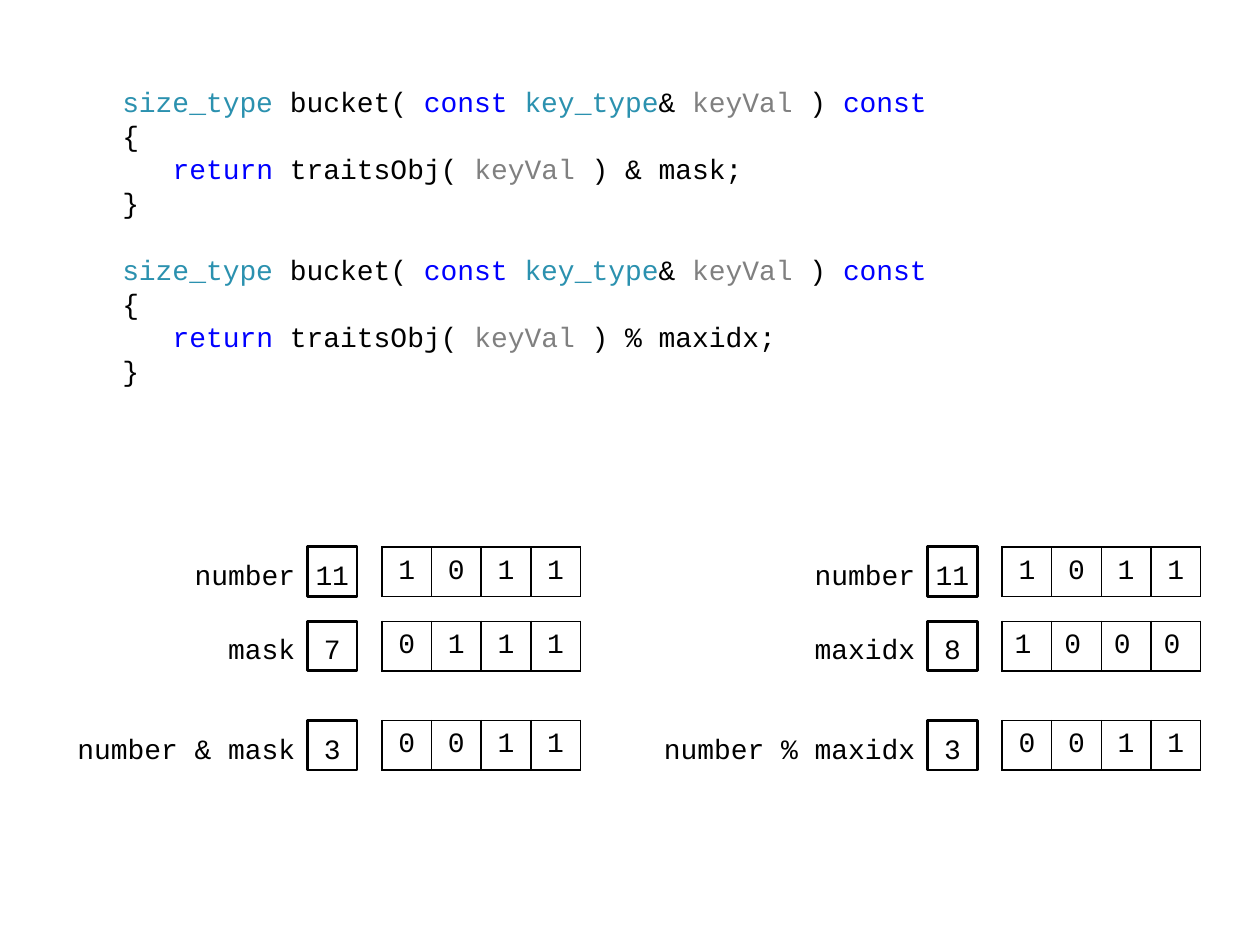
from dataclasses import dataclass

from lxml.etree import SubElement
from pptx import Presentation
from pptx.dml.color import RGBColor
from pptx.enum.shapes import MSO_SHAPE as Shape
from pptx.enum.text import MSO_ANCHOR as Anchor, PP_ALIGN as Align
from pptx.oxml.ns import qn
from pptx.util import Pt

FONT, SIZE = "Courier New", 16
CHAR = 9.6  # width of one character
LINE = 19.2  # height of one line of code
CELL = 28.35
TOP = 312.5
COLORS = {"text": "000000", "type": "2B91AF", "keyword": "0000FF",
          "param": "808080", "paper": "FFFFFF"}


@dataclass
class BitRow:
    label: str
    label_cells: int
    value: str
    bits: str
    step: float  # distance from the first row, in cells
    align: Align = Align.CENTER


@dataclass
class Panel:
    box_left: float
    rows: list[BitRow]


PANELS = [
    Panel(175.75, [BitRow("number", 3, "11", "1011", 0),
                   BitRow("mask", 2, "7", "0111", 1.5),
                   BitRow("number & mask", 5, "3", "0011", 3.5)]),
    Panel(530.1, [BitRow("number", 3, "11", "1011", 0),
                  BitRow("maxidx", 3, "8", "1000", 1.5, Align.LEFT),
                  BitRow("number % maxidx", 6, "3", "0011", 3.5)]),
]


def rgb(name: str) -> RGBColor:
    return RGBColor.from_string(COLORS[name])


def style(r, color: str = "text") -> None:
    r.font.name, r.font.size = FONT, Pt(SIZE)
    r.font.color.rgb = rgb(color)


def set_text(tf, text: str, align: Align) -> None:
    tf.text = text
    p = tf.paragraphs[0]
    p.alignment = align
    style(p.runs[0])


def set_frame(tf, side: float, top: float, anchor: Anchor) -> None:
    tf.word_wrap = True
    tf.vertical_anchor = anchor
    tf.margin_left = tf.margin_right = Pt(side)
    tf.margin_top, tf.margin_bottom = Pt(top), Pt(3.6)


def function_lines(expression: str) -> list[tuple[int, list[tuple[str, str]]]]:
    """Lines of one function: indent in characters and coloured tokens."""
    return [
        (3, [("size_type", "type"), (" bucket( ", "text"), ("const ", "keyword"),
             ("key_type", "type"), ("& ", "text"), ("keyVal", "param"),
             (" ) ", "text"), ("const", "keyword")]),
        (3, [("{", "text")]),
        (6, [("return ", "keyword"), ("traitsObj( ", "text"),
             ("keyVal", "param"), (f" ) {expression};", "text")]),
        (3, [("}", "text")]),
    ]


def add_code(s, expressions: list[str]) -> None:
    tf = s.shapes.add_textbox(Pt(34), Pt(43.2), Pt(652), Pt(184.3)).text_frame
    set_frame(tf, 7.2, 5.2, Anchor.TOP)
    p = tf.paragraphs[0]
    for i, expression in enumerate(expressions):
        for j, (indent, tokens) in enumerate(function_lines(expression)):
            if i or j:
                p = tf.add_paragraph()
            p.line_spacing = Pt(LINE)
            if i and not j:
                p.space_before = Pt(LINE)
            pPr = p._p.get_or_add_pPr()
            pPr.set("marL", str(Pt(indent * CHAR)))
            pPr.set("indent", "0")
            for text, color in tokens:
                r = p.add_run()
                r.text = text
                style(r, color)


def add_label(s, row: BitRow, right: float, top: float) -> None:
    width = row.label_cells * CELL
    tf = s.shapes.add_textbox(Pt(right - width), Pt(top), Pt(width), Pt(CELL)).text_frame
    set_frame(tf, 7.2, 6.6, Anchor.MIDDLE)
    set_text(tf, row.label, Align.RIGHT)


def add_value(s, value: str, left: float, top: float) -> None:
    sp = s.shapes.add_shape(Shape.RECTANGLE, Pt(left), Pt(top), Pt(CELL), Pt(CELL))
    sp.shadow.inherit = False
    sp.fill.solid()
    sp.fill.fore_color.rgb = rgb("paper")
    sp.line.color.rgb = rgb("text")
    sp.line.width = Pt(1.5)
    set_frame(sp.text_frame, 2.88, 6.6, Anchor.MIDDLE)
    set_text(sp.text_frame, value, Align.CENTER)


def add_borders(cell) -> None:
    tcPr = cell._tc.get_or_add_tcPr()
    for side in ("lnL", "lnR", "lnT", "lnB"):
        ln = SubElement(tcPr, qn(f"a:{side}"), w=str(Pt(1)))
        fill = SubElement(ln, qn("a:solidFill"))
        SubElement(fill, qn("a:srgbClr"), val=COLORS["text"])


def add_bits(s, row: BitRow, left: float, top: float) -> None:
    n = len(row.bits)
    table = s.shapes.add_table(1, n, Pt(left), Pt(top), Pt(n * CELL), Pt(CELL)).table
    table.first_row = table.horz_banding = False
    for i, bit in enumerate(row.bits):
        table.columns[i].width = Pt(CELL)
        cell = table.cell(0, i)
        add_borders(cell)
        cell.fill.background()
        cell.vertical_anchor = Anchor.MIDDLE
        set_text(cell.text_frame, bit, row.align)


prs = Presentation()
prs.slide_width, prs.slide_height = Pt(720), Pt(540)
s = prs.slides.add_slide(prs.slide_layouts[6])

# Code of the two functions
add_code(s, ["& mask", "% maxidx"])

# Worked examples in binary
for panel in PANELS:
    for row in panel.rows:
        top = TOP + row.step * CELL
        add_label(s, row, panel.box_left, top)
        add_value(s, row.value, panel.box_left, top)
        add_bits(s, row, panel.box_left + 1.5 * CELL, top)

prs.save("out.pptx")
